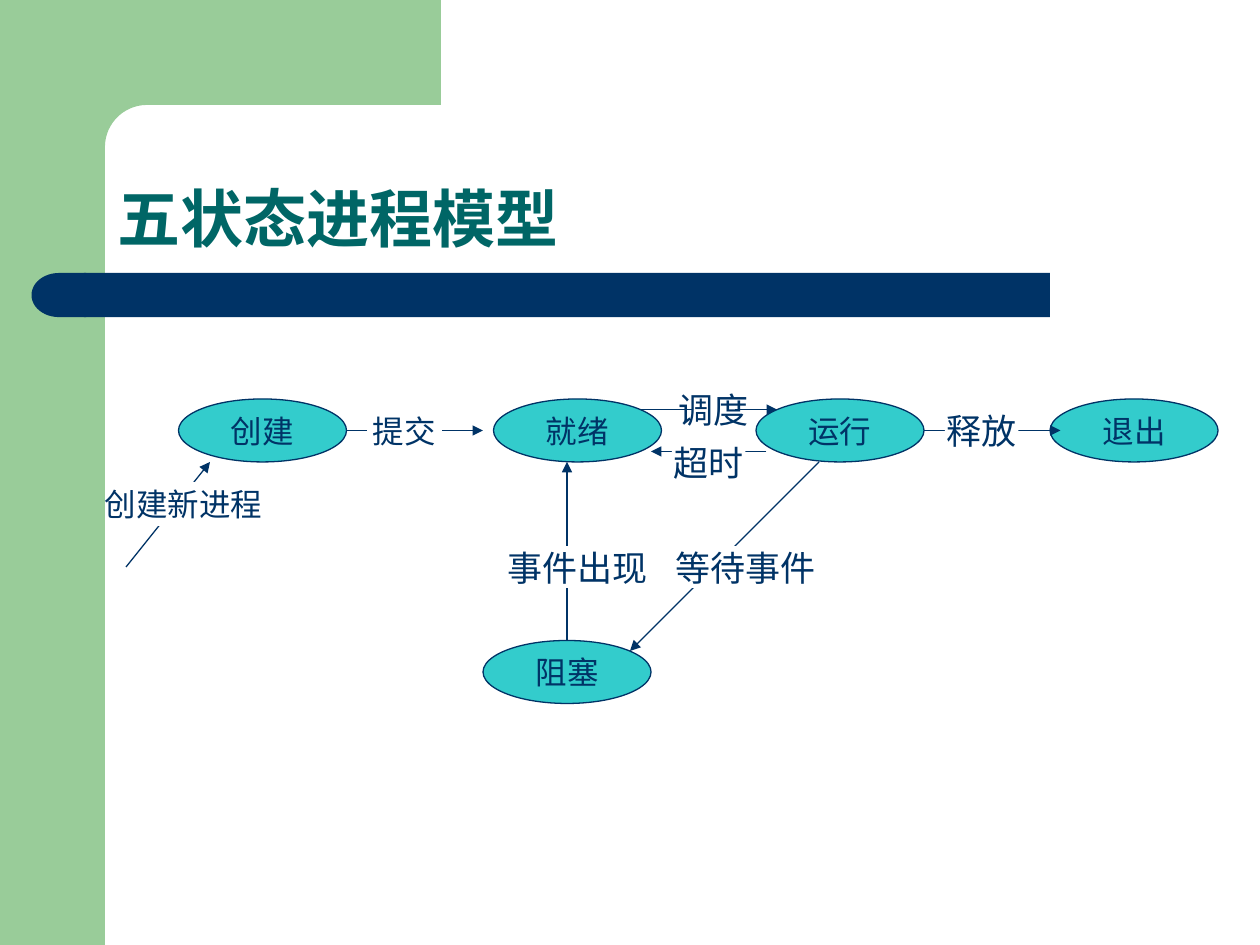
import math
from dataclasses import dataclass

import pptx
import pptx.dml.color
import pptx.enum.shapes
import pptx.enum.text
import pptx.oxml
import pptx.oxml.ns
import pptx.util

RGB = pptx.dml.color.RGBColor
KIND = pptx.enum.shapes.MSO_SHAPE
ALIGN = pptx.enum.text.PP_ALIGN
ANCHOR = pptx.enum.text.MSO_ANCHOR

GREEN = RGB(0x99, 0xCC, 0x99)
NAVY = RGB(0x00, 0x33, 0x66)
TEAL = RGB(0x00, 0x66, 0x66)
CYAN = RGB(0x33, 0xCC, 0xCC)
WHITE = RGB(0xFF, 0xFF, 0xFF)

# The slide is a grid of 120 columns by 90 rows
CELL = pptx.util.Inches(10) // 120


@dataclass
class Box:
    col: float
    row: float
    wide: float
    high: float
    text: str = ""
    size: int = 18
    edge: RGB | None = None


@dataclass
class Link:
    col: float
    row: float
    end_col: float
    end_row: float


STATES = [
    Box(col, row, 16, 6, text, edge=NAVY)
    for col, row, text in [
        (17, 38, "创建"), (46, 61, "阻塞"), (100, 38, "退出"),
        (47, 38, "就绪"), (72, 38, "运行"),
    ]
]
BACK_LINK = Link(61, 39, 74, 39)
LINKS = [
    Link(33, 41, 46, 41),
    Link(12, 54, 20, 44),
    Link(88, 41, 101, 41),
    Link(54, 61, 54, 44),
    Link(78, 44, 60, 62),
    Link(73, 43, 62, 43),
]
LABELS = [
    Box(11, 46, 13, 4, "创建新进程", edge=WHITE),
    Box(35, 39, 7, 4, "提交", edge=WHITE),
    Box(64, 42, 7, 4, "超时", 20),
    Box(90, 39, 7, 4, "释放", 20),
    Box(49, 52, 12, 4, "事件出现", 20),
    Box(65, 52, 12, 4, "等待事件", 20),
    Box(66, 37, 4, 4, "调度", 20),
]


def grid(*cells: float) -> list[int]:
    return [round(cell * CELL) for cell in cells]


def write(shape, text: str, *, size: int, color: RGB = NAVY, bold: bool = False,
          align=ALIGN.CENTER, anchor=ANCHOR.MIDDLE, wrap: bool = False,
          space: float = 1.0) -> None:
    frame = shape.text_frame
    frame.word_wrap = wrap
    frame.vertical_anchor = anchor
    line = frame.paragraphs[0]
    line.alignment = align
    line.line_spacing = space
    run = line.add_run()
    run.text = text
    run.font.name = "Arial"
    run.font.size = pptx.util.Pt(size)
    run.font.bold = bold
    run.font.color.rgb = color


def paint(shape, fill: RGB, edge: RGB | None = None) -> None:
    shape.shadow.inherit = False
    shape.fill.solid()
    shape.fill.fore_color.rgb = fill
    if edge is None:
        shape.line.fill.background()
    else:
        shape.line.color.rgb = edge
        shape.line.width = pptx.util.Pt(0.75)


def draw_box(slide, kind, box: Box, fill: RGB):
    shape = slide.shapes.add_shape(
        kind, *grid(box.col, box.row, box.wide, box.high))
    paint(shape, fill, box.edge)
    if box.text:
        write(shape, box.text, size=box.size)
    return shape


def draw_link(slide, link: Link) -> None:
    line = slide.shapes.add_connector(
        pptx.enum.shapes.MSO_CONNECTOR.STRAIGHT,
        *grid(link.col, link.row, link.end_col, link.end_row))
    line.line.color.rgb = NAVY
    line.line.width = pptx.util.Pt(0.75)
    stroke = line.line._get_or_add_ln()
    head = pptx.oxml.parse_xml(
        f'<a:tailEnd {pptx.oxml.ns.nsdecls("a")} type="triangle"/>')
    stroke.append(head)
    stroke.addnext(pptx.oxml.parse_xml(
        f'<a:effectLst {pptx.oxml.ns.nsdecls("a")}/>'))


def draw_frame(slide) -> None:
    # Green side band and the top band with its rounded inner corner
    draw_box(slide, KIND.RECTANGLE, Box(0, 0, 10, 90), GREEN)
    arc = [
        (14 - 4 * math.sin(turn), 14 - 4 * math.cos(turn))
        for turn in (math.radians(step) for step in range(0, 91, 6))
    ]
    path = [(42, 10), *arc, (10, 15.4), (6, 15.4), (6, 0)]
    build = slide.shapes.build_freeform(*grid(42, 0))
    build.add_line_segments([tuple(grid(*spot)) for spot in path], close=True)
    paint(build.convert_to_shape(), GREEN)

    # Navy bar with a round left end
    draw_box(slide, KIND.RECTANGLE, Box(8, 26, 92, 4.2), NAVY)
    cap = draw_box(slide, KIND.FLOWCHART_DELAY, Box(3, 26, 5.2, 4.2), NAVY)
    cap._element.spPr.xfrm.set("flipH", "1")


def main() -> None:
    deck = pptx.Presentation()
    deck.slide_width, deck.slide_height = grid(120, 90)
    slide = deck.slides.add_slide(deck.slide_layouts[6])
    draw_frame(slide)

    # Title
    title = slide.shapes.add_textbox(*grid(10, 10, 104, 15))
    write(title, "五状态进程模型", size=36, color=TEAL, bold=True,
          align=ALIGN.LEFT, anchor=ANCHOR.BOTTOM, wrap=True, space=0.9)

    # State diagram: labels lie on top and break the lines
    draw_link(slide, BACK_LINK)
    for state in STATES:
        draw_box(slide, KIND.OVAL, state, CYAN)
    for link in LINKS:
        draw_link(slide, link)
    for label in LABELS:
        draw_box(slide, KIND.RECTANGLE, label, WHITE)

    deck.save("out.pptx")


if __name__ == "__main__":
    main()
